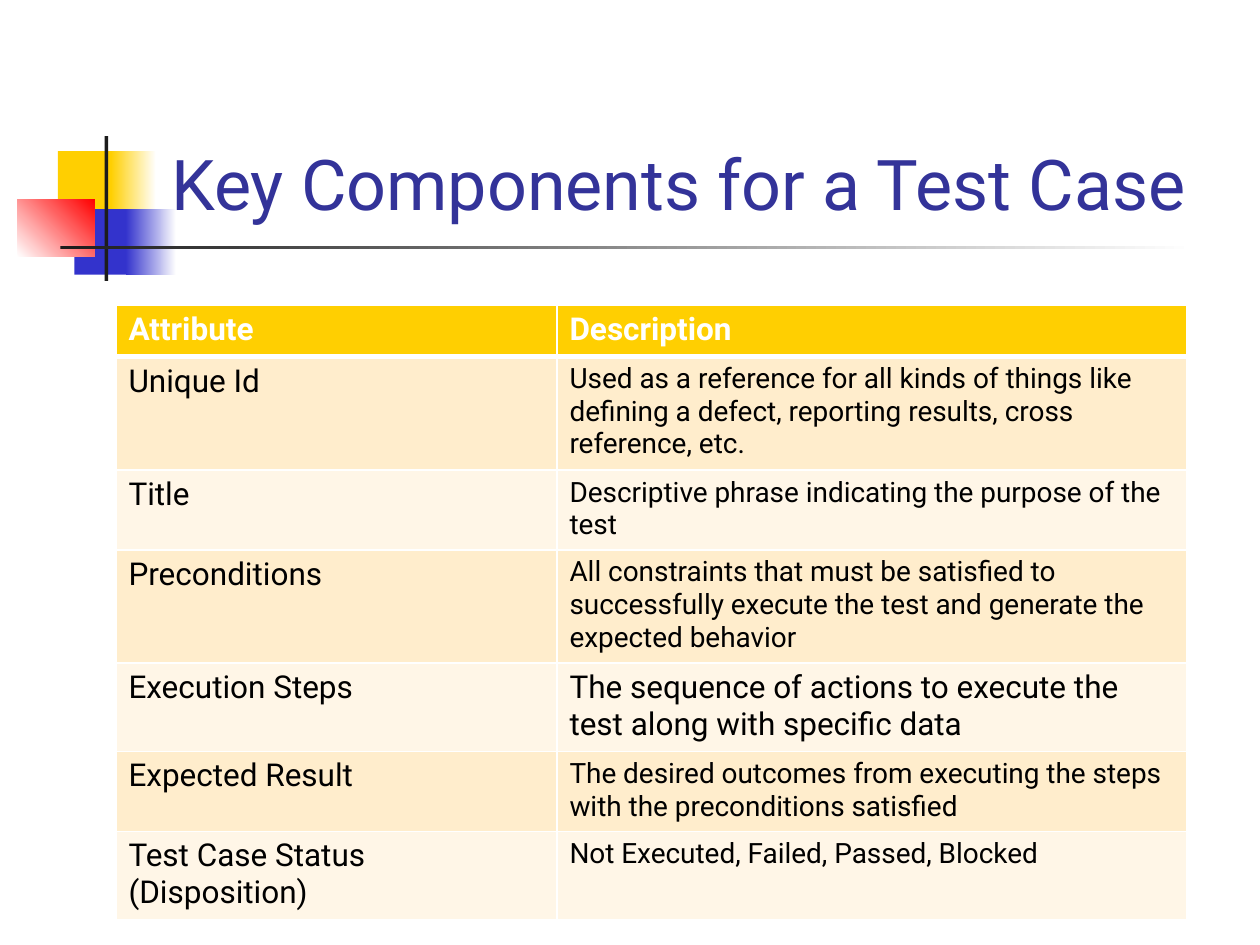
from lxml.etree import SubElement
from pptx import Presentation
from pptx.dml.color import RGBColor
from pptx.enum.shapes import MSO_SHAPE
from pptx.enum.text import MSO_ANCHOR
from pptx.oxml.ns import qn
from pptx.util import Inches, Pt

WIDTH, HEIGHT = 10, 7.5
GOLD, BLUE, RED, INK, WHITE = "FFCF01", "3333CC", "FF0000", "1C1C1C", "FFFFFF"


def rgb(value):
    return RGBColor.from_string(value)


def write(frame, text, *, size, color, bold=False, font="Roboto"):
    run = frame.paragraphs[0].add_run()
    run.text = text
    run.font.name, run.font.size, run.font.bold = font, Pt(size), bold
    run.font.color.rgb = rgb(color)


class Deck:
    bands = ("FFEDCC", "FFF6E7")

    def __init__(self):
        self.presentation = Presentation()
        self.presentation.slide_width = Inches(WIDTH)
        self.presentation.slide_height = Inches(HEIGHT)
        self.slide = self.presentation.slides.add_slide(self.presentation.slide_layouts[6])

    def place(self, left, top, width, height):
        shares = left / WIDTH, top / HEIGHT, width / WIDTH, height / HEIGHT
        full = (self.presentation.slide_width, self.presentation.slide_height) * 2
        return [round(share * side) for share, side in zip(shares, full)]

    def block(self, box, start, end=None, angle=0):
        block = self.slide.shapes.add_shape(MSO_SHAPE.RECTANGLE, *self.place(*box))
        block.shadow.inherit = False
        block.line.fill.background()
        if end is None:
            block.fill.solid()
            block.fill.fore_color.rgb = rgb(start)
            return
        block.fill.gradient()
        block.fill.gradient_angle = angle
        for stop, color in zip(block.fill.gradient_stops, (start, end)):
            stop.color.rgb = rgb(color)

    def title(self, box, text):
        frame = self.slide.shapes.add_textbox(*self.place(*box)).text_frame
        frame.word_wrap = True
        frame.vertical_anchor = MSO_ANCHOR.BOTTOM
        write(frame, text, size=40, color="333399")

    def border(self, cell, top, bottom):
        properties = cell._tc.get_or_add_tcPr()
        for index, (side, width) in enumerate(zip("LRTB", (1, 1, top, bottom))):
            line = SubElement(properties, qn(f"a:ln{side}"), w=str(Pt(width)))
            fill = SubElement(line, qn("a:solidFill"))
            SubElement(fill, qn("a:srgbClr"), val=WHITE)
            properties.insert(index, line)

    def table(self, box, widths, header, rows):
        table = self.slide.shapes.add_table(len(rows) + 1, len(widths), *self.place(*box)).table
        for column, width in zip(table.columns, widths):
            column.width = Inches(width)
        for index, texts in enumerate([header] + rows):
            heading = index == 0
            for cell, (text, size) in zip(table.rows[index].cells, texts):
                cell.fill.solid()
                cell.fill.fore_color.rgb = rgb(GOLD if heading else self.bands[(index - 1) % 2])
                self.border(cell, 3 if index == 1 else 1, 3 if heading else 1)
                write(cell.text_frame, text, size=size, bold=heading,
                      color=WHITE if heading else "000000")


deck = Deck()
for accent in (
    ((0.46, 1.2, 0.48, 0.52), GOLD),
    ((0.88, 1.2, 0.36, 0.52), GOLD, WHITE),
    ((0.59, 1.66, 0.46, 0.52), BLUE),
    ((1, 1.66, 0.4, 0.52), BLUE, WHITE),
    ((0.14, 1.58, 0.61, 0.46), WHITE, RED, 45),
    ((0.83, 1.08, 0.03, 1.15), INK),
    ((0.48, 1.95, 9, 0.03), INK, WHITE),
):
    deck.block(*accent)

deck.title((1.26, 0.23, 8.52, 1.6), "Key Components for a Test Case")

header = [("Attribute", 18), ("Description", 18)]
attributes = [
    ("Unique Id", "Used as a reference for all kinds of things like defining a defect, "
     "reporting results, cross reference, etc.", 16),
    ("Title", "Descriptive phrase indicating the purpose of the test", 16),
    ("Preconditions", "All constraints that must be satisfied to successfully execute the test "
     "and generate the expected behavior", 16),
    ("Execution Steps", "The sequence of actions to execute the test along with specific data", 18),
    ("Expected Result", "The desired outcomes from executing the steps with the preconditions "
     "satisfied", 16),
    ("Test Case Status (Disposition)", "Not Executed, Failed, Passed, Blocked", 16),
]
rows = [[(name, 18), (description, size)] for name, description, size in attributes]
deck.table((0.92, 2.42, 8.5, 0.41 * (len(rows) + 1)), (3.5, 5), header, rows)

deck.presentation.save("out.pptx")
